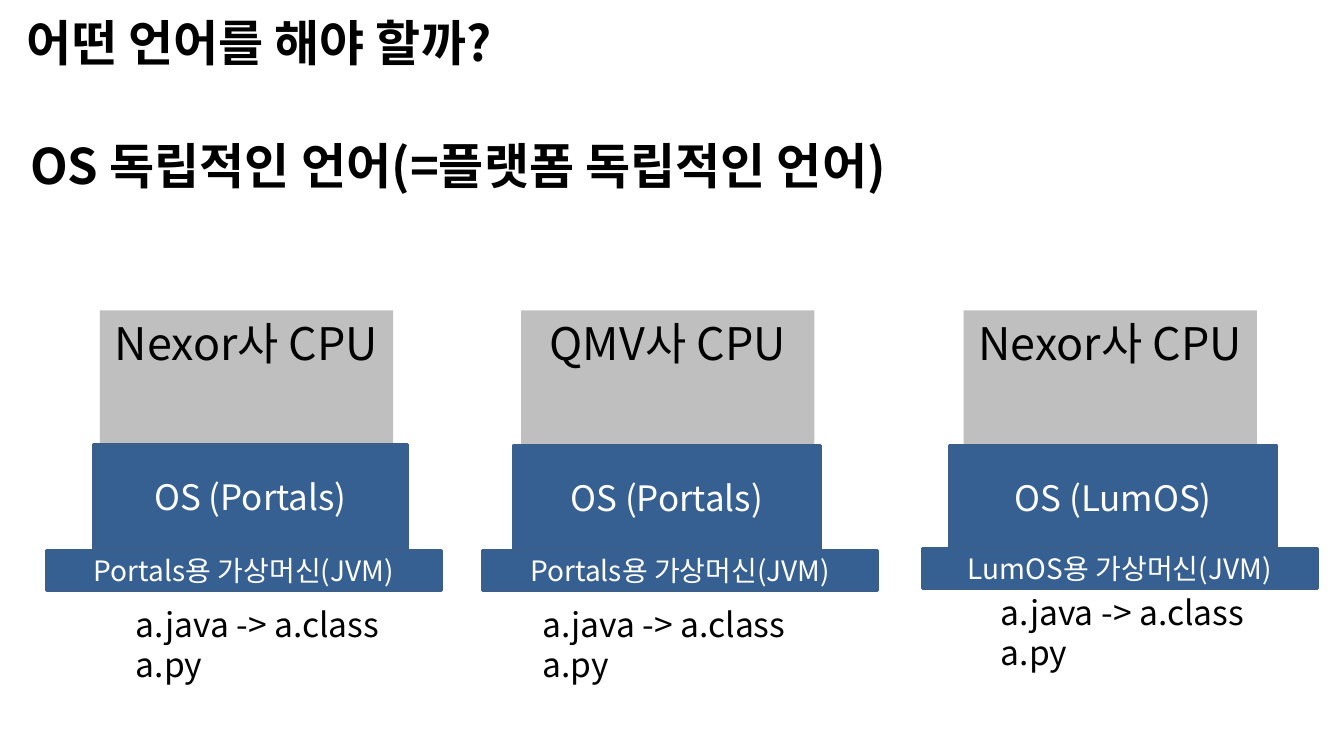
from lxml import etree
from pptx import Presentation
from pptx.dml.color import RGBColor
from pptx.enum.shapes import MSO_SHAPE
from pptx.enum.text import MSO_ANCHOR, PP_ALIGN
from pptx.oxml.ns import qn
from pptx.util import Pt

RECTANGLE = MSO_SHAPE.RECTANGLE
TOP, MIDDLE = MSO_ANCHOR.TOP, MSO_ANCHOR.MIDDLE
LEFT, CENTER = PP_ALIGN.LEFT, PP_ALIGN.CENTER

FONT = "Noto Sans CJK KR"
BLACK = RGBColor(0x00, 0x00, 0x00)
WHITE = RGBColor(0xFF, 0xFF, 0xFF)
GRAY = RGBColor(0xBF, 0xBF, 0xBF)
BLUE = RGBColor(0x37, 0x60, 0x92)
BORDER = RGBColor(0x3A, 0x5F, 0x8C)

HEADINGS = [
    (14.4, 87.8, "OS 독립적인 언어(=플랫폼 독립적인 언어)"),
    (12.2, 0, "어떤 언어를 해야 할까?"),
]
SOURCE_FILES = ["a.java -> a.class", "a.py"]

# Each layer of a platform: its text, then left, top and width where they vary.
PLATFORMS = [
    {"cpu": ("Nexor사 CPU", 71.3),
     "os": ("OS (Portals)", 67, 317.5, 224),
     "machine": ("Portals용 가상머신(JVM)", 33.1, 393.1),
     "files": (90, 427.7)},
    {"cpu": ("QMV사 CPU", 372.2),
     "os": ("OS (Portals)", 366.5, 318.2, 219.6),
     "machine": ("Portals용 가상머신(JVM)", 344.9, 393.1),
     "files": (380.2, 427.7)},
    {"cpu": ("Nexor사 CPU", 688.3),
     "os": ("OS (LumOS)", 678.2, 318.2, 234),
     "machine": ("LumOS용 가상머신(JVM)", 658.8, 391.7),
     "files": (707.8, 419)},
]


def write_lines(frame, lines, size, color, align=LEFT, anchor=TOP, bold=False):
    frame.vertical_anchor = anchor
    for index, line in enumerate(lines):
        paragraph = frame.add_paragraph() if index else frame.paragraphs[0]
        paragraph.text = line
        paragraph.alignment = align
        font = paragraph.font
        font.name, font.size, font.bold = FONT, Pt(size), bold
        font.color.rgb = color
        # Korean letters take the East Asian typeface.
        properties = paragraph._p.pPr.find(qn("a:defRPr"))
        etree.SubElement(properties, qn("a:ea"), typeface=FONT)


def add_text(slide, left, top, width, height, lines, size, wrap=False, **style):
    box = slide.shapes.add_textbox(Pt(left), Pt(top), Pt(width), Pt(height))
    box.text_frame.word_wrap = wrap
    write_lines(box.text_frame, lines, size, BLACK, **style)


def add_block(slide, left, top, width, height, text, size, fill, color,
              border=None, anchor=MIDDLE):
    block = slide.shapes.add_shape(
        RECTANGLE, Pt(left), Pt(top), Pt(width), Pt(height))
    block.shadow.inherit = False
    block.fill.solid()
    block.fill.fore_color.rgb = fill
    if border is None:
        block.line.fill.background()
    else:
        block.line.color.rgb = border
        block.line.width = Pt(2)
    write_lines(block.text_frame, [text], size, color, CENTER, anchor)


def add_platform(slide, platform):
    """Stack the CPU, operating system, virtual machine and source files."""
    text, left = platform["cpu"]
    add_block(slide, left, 221.8, 209.5, 105.8, text, 32, GRAY, BLACK, anchor=TOP)
    text, left, top, width = platform["os"]
    add_block(slide, left, top, width, 74.9, text, 25, BLUE, WHITE, BORDER)
    text, left, top = platform["machine"]
    add_block(slide, left, top, 282.2, 28.8, text, 20, BLUE, WHITE, BORDER)
    left, top = platform["files"]
    add_text(slide, left, top, 190, 65.5, SOURCE_FILES, 24)


def main():
    presentation = Presentation()
    presentation.slide_width, presentation.slide_height = Pt(960), Pt(540)
    slide = presentation.slides.add_slide(presentation.slide_layouts[6])
    for left, top, text in HEADINGS:
        add_text(slide, left, top, 864, 60.5, [text], 35, wrap=True,
                 anchor=MIDDLE, bold=True)
    for platform in PLATFORMS:
        add_platform(slide, platform)
    presentation.save("out.pptx")


if __name__ == "__main__":
    main()
